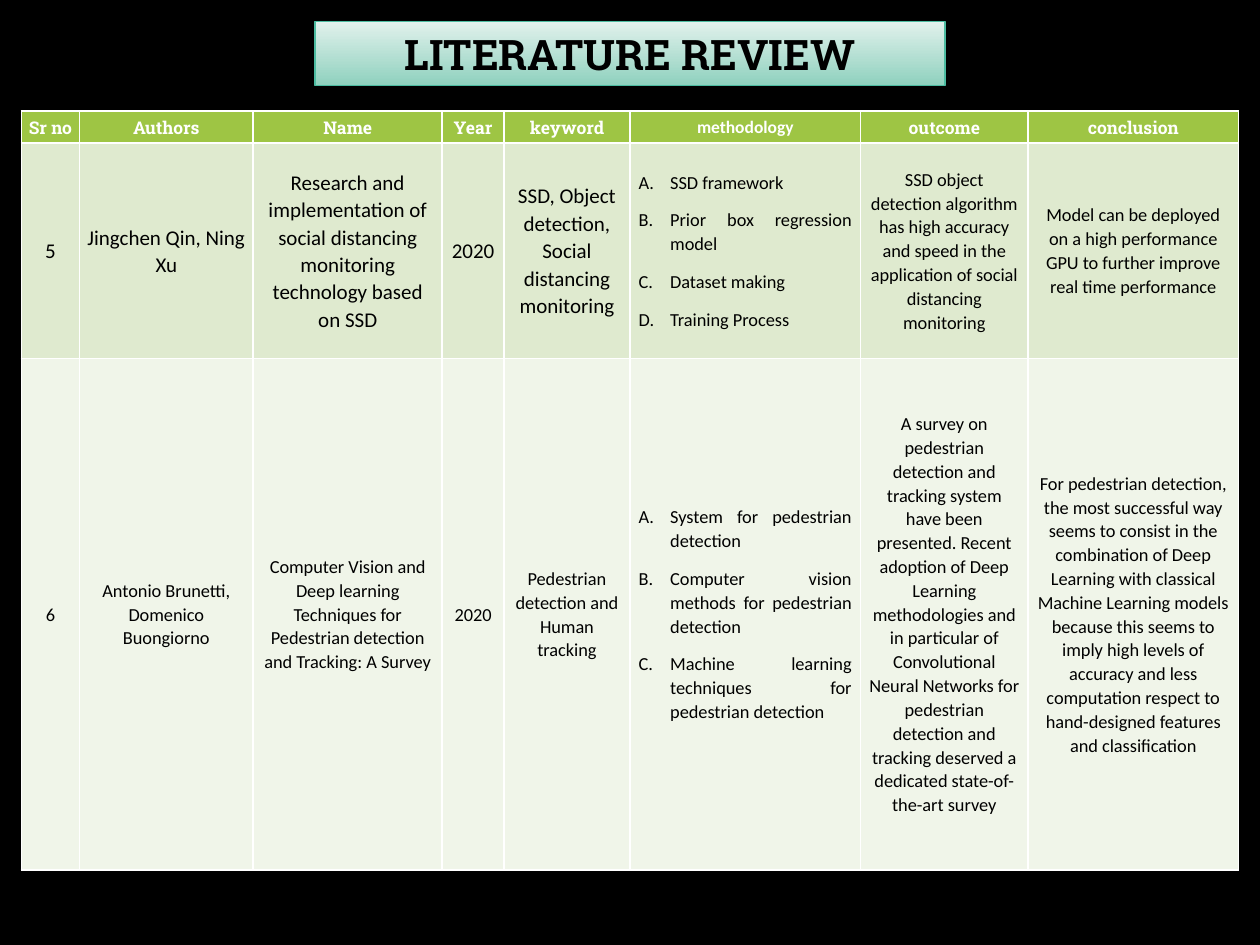
from lxml import etree
from pptx import Presentation
from pptx.dml.color import RGBColor
from pptx.enum.shapes import MSO_SHAPE
from pptx.enum.text import MSO_ANCHOR, PP_ALIGN
from pptx.oxml import parse_xml
from pptx.oxml.ns import nsdecls, qn
from pptx.util import Inches, Pt

COLORS = {
    "background": "000000",
    "text": "000000",
    "header_text": "FFFFFF",
    "border": "FFFFFF",
    "header": "9EC544",
    "band_dark": "DFEACF",
    "band_light": "F0F5E9",
    "title_top": "E1F1EC",
    "title_bottom": "8FD1BE",
    "title_line": "4CBCA1",
}
HEADING_FONT, BODY_FONT = "Roboto Slab", "Calibri"

COLUMN_WIDTHS = [0.46, 1.38, 1.5, 0.49, 1, 1.83, 1.33, 1.67]
ROW_HEIGHTS = [0.25, 1.71, 4.06]
ROW_FILLS = ["header", "band_dark", "band_light"]
METHODOLOGY = 5

# A list in a cell becomes a lettered list
ROWS = [
    ["Sr no", "Authors", "Name", "Year", "keyword", "methodology", "outcome", "conclusion"],
    [
        "5",
        "Jingchen Qin, Ning Xu",
        "Research and implementation of social distancing monitoring technology based on SSD",
        "2020",
        "SSD, Object detection, Social distancing monitoring",
        ["SSD framework", "Prior box regression model", "Dataset making", "Training Process"],
        "SSD object detection algorithm has high accuracy and speed in the application of "
        "social distancing monitoring",
        "Model can be deployed on a high performance GPU to further improve real time performance",
    ],
    [
        "6",
        "Antonio Brunetti, Domenico Buongiorno",
        "Computer Vision and Deep learning Techniques for Pedestrian detection and Tracking: A Survey",
        "2020",
        "Pedestrian detection and Human tracking",
        [
            "System for pedestrian detection",
            "Computer vision methods for pedestrian detection",
            "Machine learning techniques for pedestrian detection",
        ],
        "A survey on pedestrian detection and tracking system have been presented. Recent "
        "adoption of Deep Learning methodologies and in particular of Convolutional Neural "
        "Networks for pedestrian detection and tracking deserved a dedicated "
        "state-of-the-art survey",
        "For pedestrian detection, the most successful way seems to consist in the combination "
        "of Deep Learning with classical Machine Learning models because this seems to imply "
        "high levels of accuracy and less computation respect to hand-designed features and "
        "classification",
    ],
]


def color(name):
    return RGBColor.from_string(COLORS[name])


def add_run(paragraph, text, size, font, color_name, bold=False):
    run = paragraph.add_run()
    run.text = text
    run.font.size = Pt(size)
    run.font.name = font
    run.font.bold = bold
    run.font.color.rgb = color(color_name)


def add_letter_bullet(paragraph):
    properties = paragraph._p.get_or_add_pPr()
    properties.set("marL", str(Inches(0.25)))
    properties.set("indent", str(-Inches(0.25)))
    etree.SubElement(properties, qn("a:buFont"), typeface="+mj-lt")
    etree.SubElement(properties, qn("a:buAutoNum"), type="alphaUcPeriod")


def set_borders(cell):
    properties = cell._tc.get_or_add_tcPr()
    for index, side in enumerate(("lnL", "lnR", "lnT", "lnB")):
        line = parse_xml(
            f'<a:{side} {nsdecls("a")} w="{Pt(1)}"><a:solidFill>'
            f'<a:srgbClr val="{COLORS["border"]}"/></a:solidFill></a:{side}>'
        )
        properties.insert(index, line)


def cell_style(row, column):
    """Return margins, text size, font, colour and bold for a cell."""
    if row == 0:
        font = BODY_FONT if column == METHODOLOGY else HEADING_FONT
        return (0.05, 0.03), 10, font, "header_text", True
    if row == 1 and column < METHODOLOGY:
        return (0.06, 0.03), 12, BODY_FONT, "text", False
    return (0.07, 0.04), 10.5, BODY_FONT, "text", False


def fill_cell(cell, content, row, column):
    (side, edge), *text_style = cell_style(row, column)
    cell.margin_left = cell.margin_right = Inches(side)
    cell.margin_top = cell.margin_bottom = Inches(edge)
    cell.vertical_anchor = MSO_ANCHOR.MIDDLE
    cell.fill.solid()
    cell.fill.fore_color.rgb = color(ROW_FILLS[row])
    set_borders(cell)

    lettered = isinstance(content, list)
    frame = cell.text_frame
    for index, text in enumerate(content if lettered else [content]):
        paragraph = frame.add_paragraph() if index else frame.paragraphs[0]
        paragraph.alignment = PP_ALIGN.JUSTIFY if lettered else PP_ALIGN.CENTER
        paragraph.line_spacing = 1.07
        paragraph.space_after = Pt(8)
        if lettered:
            add_letter_bullet(paragraph)
        add_run(paragraph, text, *text_style)


def add_review_table(slide, left, top, width, height):
    frame = slide.shapes.add_table(
        len(ROWS), len(COLUMN_WIDTHS), Inches(left), Inches(top), Inches(width), Inches(height)
    )
    table = frame.table
    for column, column_width in zip(table.columns, COLUMN_WIDTHS):
        column.width = Inches(column_width)
    for row, row_height in zip(table.rows, ROW_HEIGHTS):
        row.height = Inches(row_height)
    for row, contents in enumerate(ROWS):
        for column, content in enumerate(contents):
            fill_cell(table.cell(row, column), content, row, column)


def add_title(slide, left, top, width, height):
    shape = slide.shapes.add_shape(
        MSO_SHAPE.RECTANGLE, Inches(left), Inches(top), Inches(width), Inches(height)
    )
    shape.shadow.inherit = False
    shape.fill.gradient()
    shape.fill.gradient_angle = 270  # light at the top, darker at the bottom
    stops = shape.fill.gradient_stops
    for stop, position, name in zip(stops, (0, 1), ("title_top", "title_bottom")):
        stop.position = position
        stop.color.rgb = color(name)
    shape.line.color.rgb = color("title_line")
    shape.line.width = Pt(0.75)
    shape.text_frame.word_wrap = True
    shape.text_frame.vertical_anchor = MSO_ANCHOR.MIDDLE
    paragraph = shape.text_frame.paragraphs[0]
    paragraph.alignment = PP_ALIGN.CENTER
    add_run(paragraph, "LITERATURE REVIEW", 24, HEADING_FONT, "text", bold=True)


def main():
    presentation = Presentation()
    presentation.slide_width, presentation.slide_height = Inches(10), Inches(7.5)
    slide = presentation.slides.add_slide(presentation.slide_layouts[6])
    slide.background.fill.solid()
    slide.background.fill.fore_color.rgb = color("background")

    add_review_table(slide, 0.17, 0.88, sum(COLUMN_WIDTHS), sum(ROW_HEIGHTS))
    add_title(slide, 2.5, 0.17, 5, 0.51)
    presentation.save("out.pptx")


if __name__ == "__main__":
    main()
